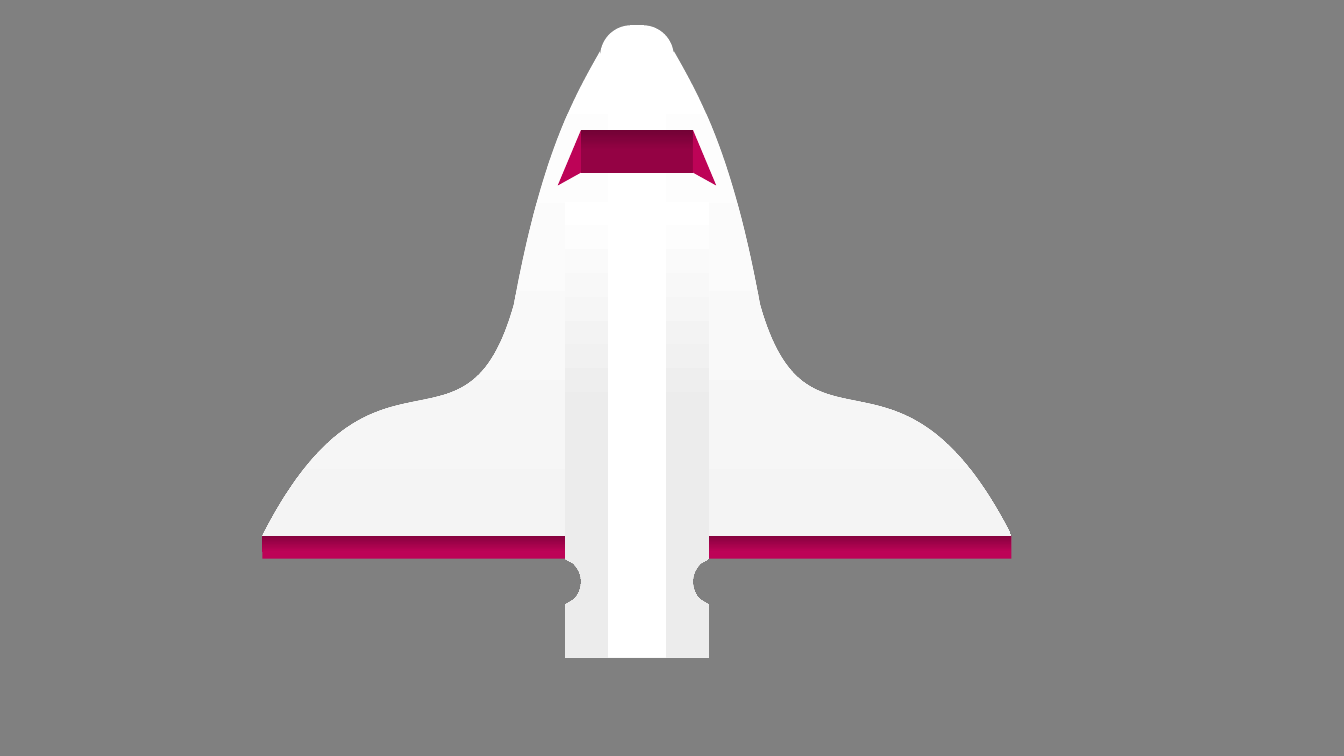
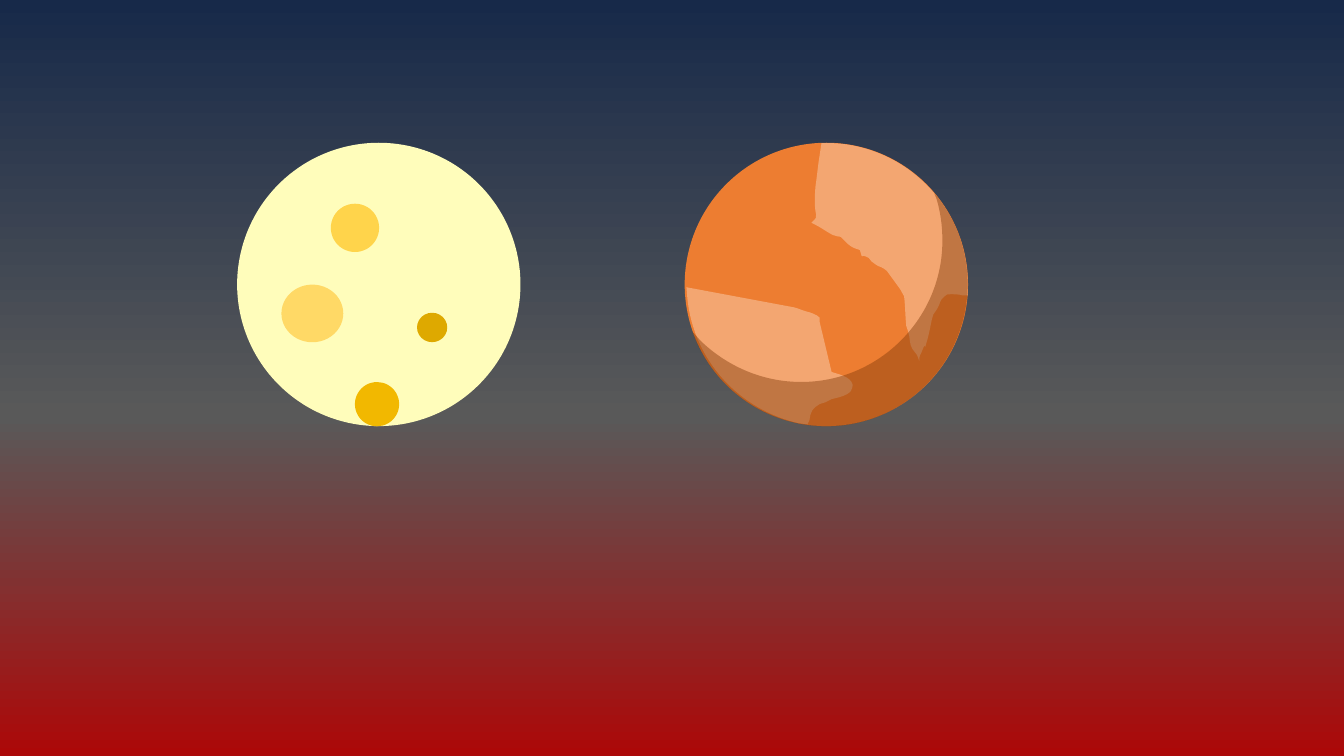
from dataclasses import dataclass

from lxml import etree
from pptx import Presentation
from pptx.dml.color import RGBColor
from pptx.enum.shapes import MSO_SHAPE
from pptx.oxml.ns import qn
from pptx.util import Pt

RECT, OVAL = MSO_SHAPE.RECTANGLE, MSO_SHAPE.OVAL
BLANK_LAYOUT = 6


# A string is a solid colour; a tuple of (percent, colour) is a downward gradient
@dataclass(frozen=True)
class Theme:
    space: str = "808080"
    sky: tuple = ((0, "172949"), (55, "595959"), (100, "AC0808"))
    trim: str = "BD0357"
    trim_shade: tuple = ((0, "84023D"), (100, "BD0357"))
    hull: tuple = ((0, "FFFFFF"), (100, "F2F2F2"))
    body: tuple = ((0, "FFFFFF"), (47, "ECECEC"))
    stripe: str = "FFFFFF"
    window: tuple = ((0, "720235"), (47, "940244"))
    moon: str = "FFFDBB"
    craters: tuple = ("FFD44B", "DEA900", "F2B800", "FFD966")
    planet: str = "ED7D31"
    land: str = "F3A671"
    shade: str = "843C0B"
    shade_alpha: int = 45


THEME = Theme()

# Shuttle: x is the distance from its axis; pairs are lines, sixes are curves
AXIS = 455
HULL = [
    (3.6, 18), (16.6, 18, 26.4, 28.1, 26.4, 41), (26.4, 36.7),
    (46.1, 71.3, 68.4, 111.6, 87.8, 217.4),
    (122.4, 340.6, 187.2, 225.4, 267.5, 382.6),
    (26.4, 382.6), (26.4, 438.5), (26.4, 451.4, 16.6, 461.5, 3.6, 461.5),
]
BODY = [
    (51.4, 144), (51.4, 399.2), (45.4, 402.5),
    (41.8, 406.1, 39.8, 410.4, 39.8, 415.4),
    (39.8, 420.5, 41.8, 425.5, 45.4, 428.4),
    (51.4, 432), (51.4, 469.7),
]
SIDE_WINDOW = [(40, 123.3), (40, 92.9), (56.6, 132.5)]

# Centred bars: half width, top, height, paint
WING_BARS = [(267.5, 382.6, 16.4, THEME.trim), (267.5, 382.6, 11.5, THEME.trim_shade)]
CENTRE_BARS = [(20.6, 59, 410.7, THEME.stripe), (40, 92.9, 30.7, THEME.window)]

# Ellipses: left, top, width, height
MOON = (169.4, 102, 202.4, 202.4)
CRATERS = [
    (236.3, 145.5, 34.5, 34.5),
    (297.9, 223.4, 21.6, 21),
    (253.5, 272.9, 31.6, 31.6),
    (201, 203.3, 44.2, 41.2),
]
PLANET = (489.1, 102, 202.4, 202.4)

EAST_LAND = [
    (590.4, 102.2), (645.8, 102.2, 691.2, 147.6, 691.2, 203),
    (691.2, 211), (687.6, 211), (684.7, 210.2, 681.8, 210.2, 679, 210.2),
    (677.5, 210.2, 675.4, 210.2, 674.6, 211.7), (671, 214.6, 671.8, 216.7, 669.6, 220.3),
    (668.9, 221.8, 667.4, 223.2, 666.7, 224.6), (665.3, 228.2, 664.6, 234, 663.8, 236.9),
    (663.1, 239, 663.1, 241.2, 662.4, 242.6), (658.8, 255.6, 663.1, 239, 658.1, 252),
    (656.6, 254.2, 656.6, 256.3, 656.6, 257.8), (654.5, 252, 655.9, 254.9, 651.6, 249.1),
    (649.4, 245.5, 650.2, 241.2, 648.7, 236.9), (648.7, 235.4, 647.3, 234, 647.3, 232.6),
    (646.6, 225.4, 646.6, 218.2, 645.8, 211.7), (643, 206.6), (633.6, 193.7),
    (632.2, 192.2, 630.7, 191.5, 629.3, 190.8), (627.8, 190.1, 626.4, 190.1, 625, 188.6),
    (622.8, 187.9, 622.1, 185.8, 620.6, 184.3), (613.4, 180, 617, 187.2, 614.2, 178.6),
    (609.8, 177.1, 609.1, 177.1, 605.5, 174.2), (603.4, 172.8, 602.6, 170.6, 600.5, 169.2),
    (599, 168.5, 596.9, 169.2, 594.7, 167.8), (590.4, 165.6, 586.8, 162.7, 582.5, 160.6),
    (579.6, 159.1), (586.8, 151.9, 580.3, 159.1, 582.5, 133.2),
    (583.2, 128.2, 583.9, 122.4, 584.6, 116.6), (586.8, 102.2),
]
WEST_LAND = [
    (490.3, 205.2), (567.4, 219.6), (570.2, 220.3, 573.1, 221.8, 576, 222.5),
    (578.9, 223.2, 583.2, 224.6, 585.4, 226.8), (585.4, 227.5, 585.4, 229, 585.4, 229.7),
    (594, 265.7), (597.6, 267.1, 607.7, 268.6, 609.1, 275),
    (609.1, 276.5, 608.4, 278, 607.7, 279.4), (604.8, 283, 596.9, 284.4, 594, 285.1),
    (589.7, 287.3), (585.4, 288.7), (583.2, 290.2, 581.8, 290.9, 580.3, 293),
    (578.9, 295.9, 578.2, 298.1, 578.2, 300.2), (576.7, 303.1), (571, 302.4),
    (528.5, 293, 495.4, 257.8, 491, 213.1),
]
NIGHT = [
    (667.4, 138.2), (668.2, 139), (682.6, 156.2, 691.2, 178.6, 691.2, 203),
    (691.2, 259.2, 645.8, 304.6, 590.4, 304.6),
    (548.6, 304.6, 512.6, 279.4, 496.8, 242.6), (494.6, 236.9), (500.4, 243.4),
    (519.1, 261.4, 544.3, 272.9, 572.4, 272.9),
    (627.8, 272.9, 673.2, 227.5, 673.2, 172.1),
    (673.2, 161.3, 671.8, 151.2, 668.9, 141.8),
]


def paint_fill(fill, element, paint):
    if isinstance(paint, str):
        fill.solid()
        fill.fore_color.rgb = RGBColor.from_string(paint)
        return
    fill.gradient()
    fill.gradient_angle = 270
    stops = next(element.iter(qn("a:gsLst")))
    for old in list(stops):
        stops.remove(old)
    for percent, colour in paint:
        stop = etree.SubElement(stops, qn("a:gs"), pos=str(percent * 1000))
        etree.SubElement(stop, qn("a:srgbClr"), val=colour)


def finish(sp, paint):
    sp.shadow.inherit = False
    sp.line.fill.background()
    paint_fill(sp.fill, sp.element, paint)
    return sp


def add_preset(group, kind, box, paint):
    return finish(group.shapes.add_shape(kind, *map(Pt, box)), paint)


def add_bars(group, bars):
    for half, top, height, paint in bars:
        add_preset(group, RECT, (AXIS - half, top, 2 * half, height), paint)


def pairs(part):
    return list(zip(part[::2], part[1::2]))


def on_side(outline, side):
    return [tuple(v for x, y in pairs(part) for v in (AXIS + side * x, y))
            for part in outline]


def backwards(outline):
    """Same outline, drawn from its last point to its first."""
    points = [outline[-1][-2:]]
    for before, part in zip(outline[-2::-1], outline[:0:-1]):
        controls = pairs(part)[-2::-1]
        points.append(tuple(v for xy in controls for v in xy) + before[-2:])
    return points


def add_outline(group, outline, paint):
    start, *rest = [tuple(map(Pt, part[-2:])) for part in outline]
    builder = group.shapes.build_freeform(*start)
    builder.add_line_segments(rest, close=True)
    sp = builder.convert_to_shape()
    # Bend the segments that have control points
    lines = list(sp.element.iter(qn("a:lnTo")))
    for line, part in zip(lines, outline[1:]):
        if len(part) == 2:
            continue
        curve = etree.Element(qn("a:cubicBezTo"))
        for x, y in pairs(part):
            etree.SubElement(curve, qn("a:pt"),
                             x=str(Pt(x) - sp.left), y=str(Pt(y) - sp.top))
        line.getparent().replace(line, curve)
    return finish(sp, paint)


def add_symmetric(group, half, paint):
    add_outline(group, on_side(half, 1) + on_side(backwards(half), -1), paint)


def new_slide(prs, paint):
    s = prs.slides.add_slide(prs.slide_layouts[BLANK_LAYOUT])
    paint_fill(s.background.fill, s.element, paint)
    return s


def shuttle_slide(prs):
    shuttle = new_slide(prs, THEME.space).shapes.add_group_shape()
    add_bars(shuttle, WING_BARS)
    add_symmetric(shuttle, HULL, THEME.hull)
    add_symmetric(shuttle, BODY, THEME.body)
    add_bars(shuttle, CENTRE_BARS)
    for side in (1, -1):
        add_outline(shuttle, on_side(SIDE_WINDOW, side), THEME.trim)


def planets_slide(prs):
    s = new_slide(prs, THEME.sky)
    moon = s.shapes.add_group_shape()
    add_preset(moon, OVAL, MOON, THEME.moon)
    for crater, colour in zip(CRATERS, THEME.craters):
        add_preset(moon, OVAL, crater, colour)

    planet = s.shapes.add_group_shape()
    add_preset(planet, OVAL, PLANET, THEME.planet)
    for land in (EAST_LAND, WEST_LAND):
        add_outline(planet, land, THEME.land)
    # Translucent night side
    night = add_outline(planet, NIGHT, THEME.shade)
    colour = next(night.element.iter(qn("a:srgbClr")))
    etree.SubElement(colour, qn("a:alpha"), val=str(THEME.shade_alpha * 1000))


def main():
    prs = Presentation()
    prs.slide_width, prs.slide_height = Pt(960), Pt(540)
    shuttle_slide(prs)
    planets_slide(prs)
    prs.save("out.pptx")


if __name__ == "__main__":
    main()
